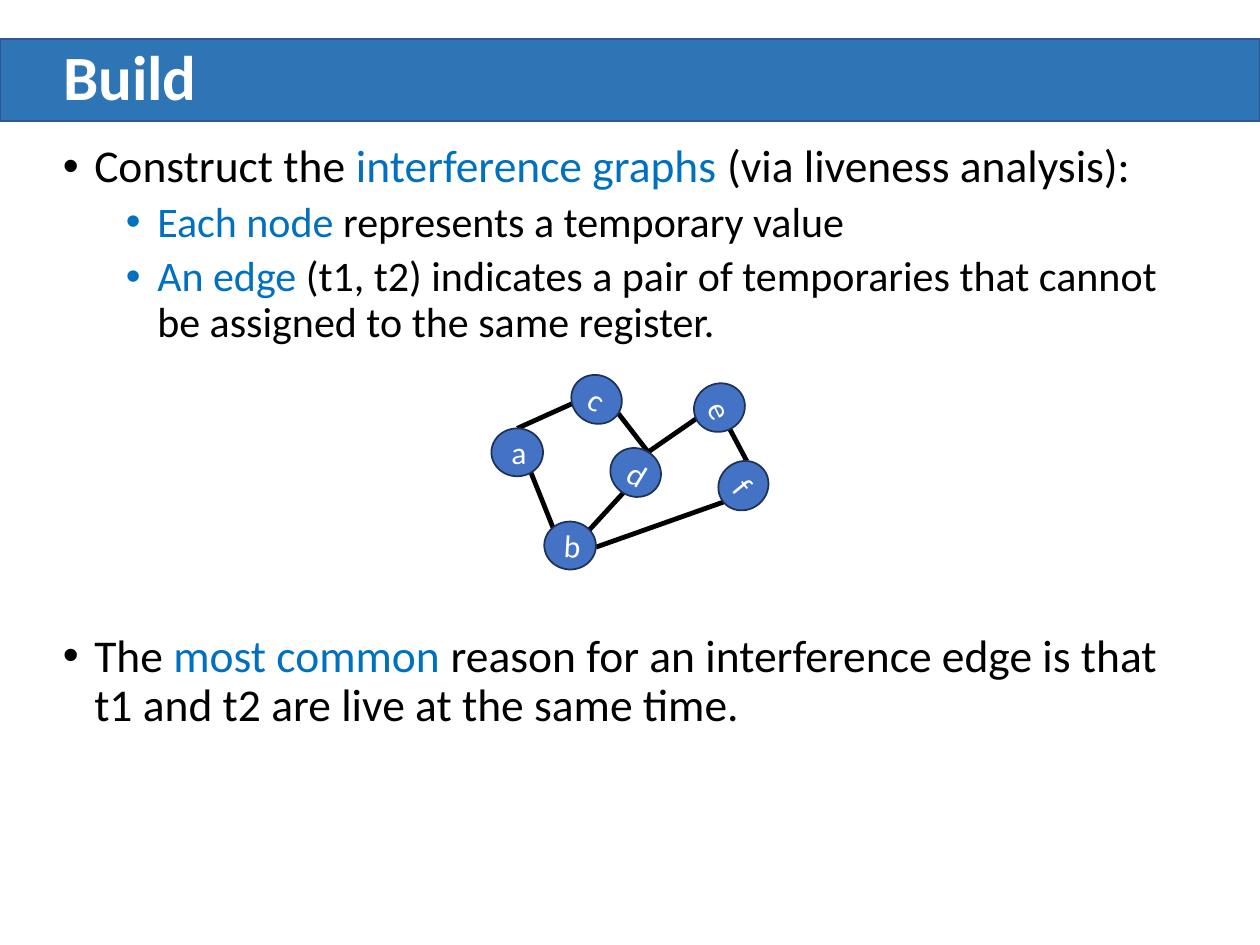
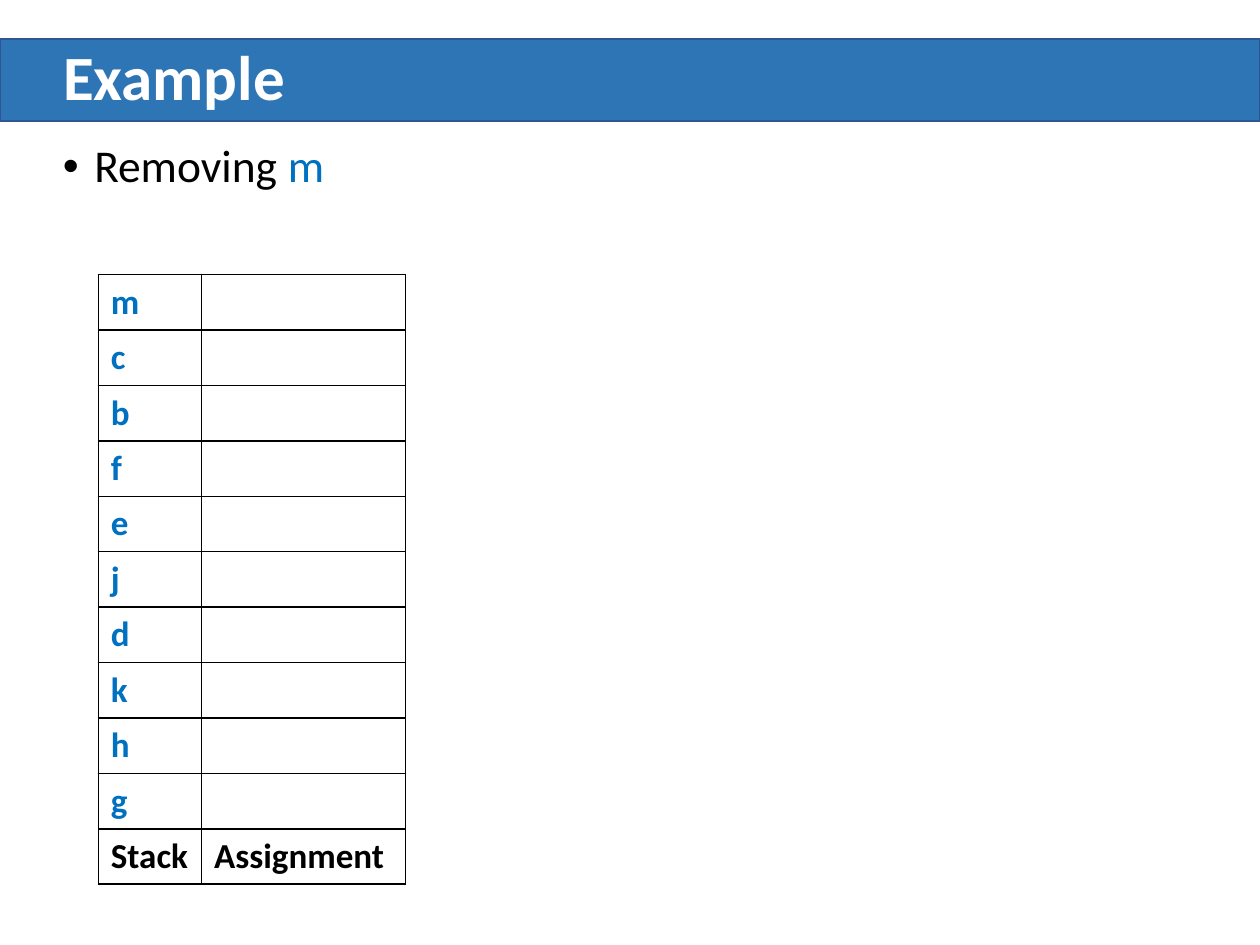
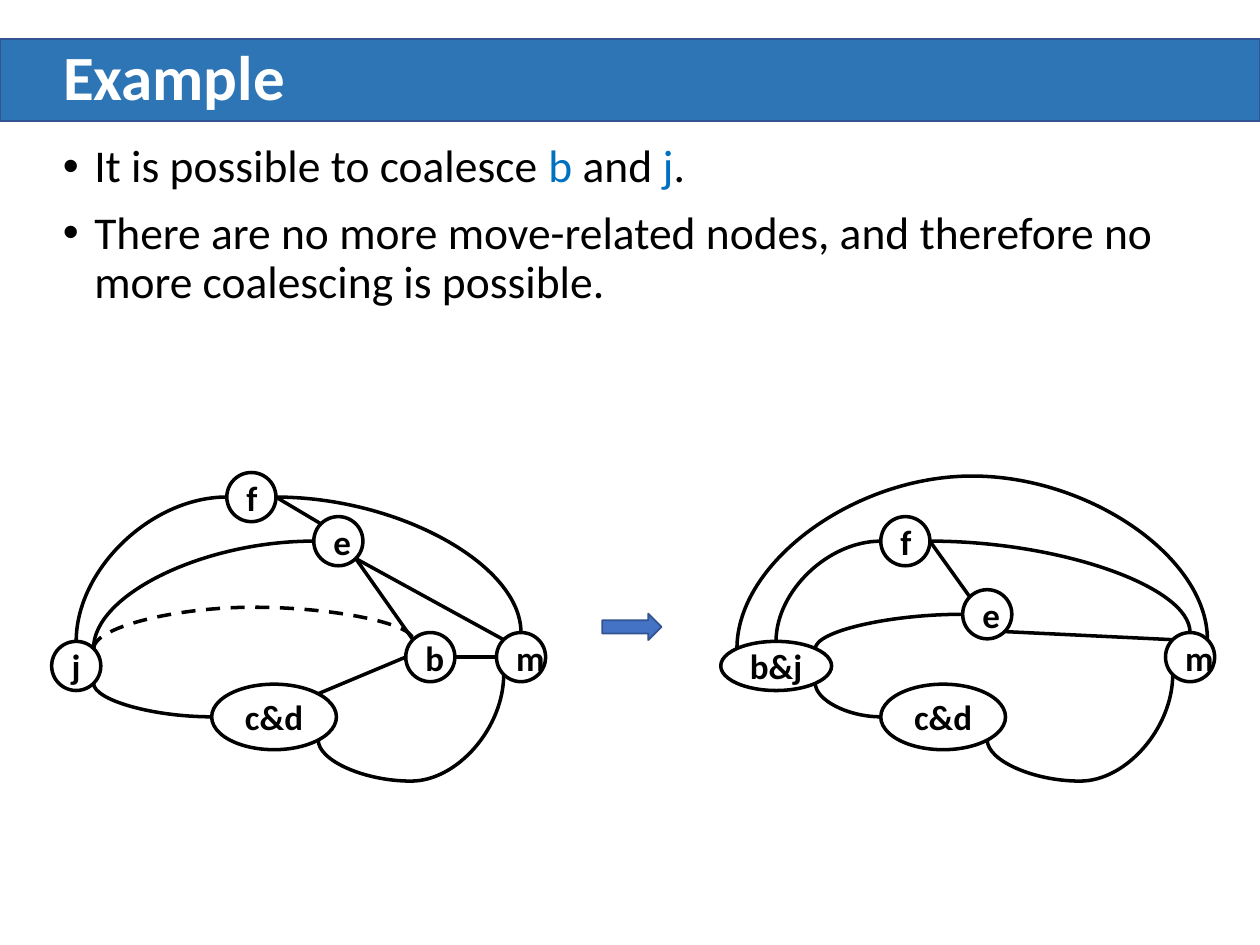
from math import cos, radians, sin

from lxml.etree import SubElement
from pptx import Presentation
from pptx.dml.color import RGBColor
from pptx.enum.dml import MSO_LINE
from pptx.enum.shapes import MSO_CONNECTOR as CONN, MSO_SHAPE as SHAPE
from pptx.enum.text import MSO_ANCHOR, MSO_AUTO_SIZE, PP_ALIGN
from pptx.oxml.ns import qn
from pptx.util import Inches, Pt

FONT = "Calibri"
BLACK, WHITE, ACCENT = "000000", "FFFFFF", "0070C0"
BAND, NODE_BLUE, BLUE_LINE, NODE_LINE = "2E75B6", "4472C4", "325491", "1E3256"

# Bullets: (level, space before in points, text with *accented* parts)
BUILD = [
    (0, 0, "Construct the *interference graphs *(via liveness analysis):"),
    (1, 5, "*Each node* represents a temporary value"),
    (1, 5, "*An edge* (t1, t2) indicates a pair of temporaries that cannot "
           "be assigned to the same register."),
    (0, 164, "The *most common *reason for an interference edge is that "
             "t1 and t2 are live at the same time."),
]
REMOVING = [(0, 0, "Removing *m*")]
COALESCE = [
    (0, 0, "It is possible to coalesce *b *and *j*."),
    (0, 10, "There are no more move-related nodes, and therefore no more "
            "coalescing is possible."),
]
LEVELS = [(0.25, 26), (0.75, 24)]  # left margin, text size

STACK = "mcbfejdkhg"
STACK_HEADS = ("Stack", "Assignment")

# Nodes: name -> left, top, width, height, rotation
# Edge ends: (node, site), sites run counter-clockwise from 0 at the top
INTERFERENCE = {
    "nodes": {
        "b": (4.32, 4.14, 0.41, 0.38, 3.6),
        "a": (3.9, 3.4, 0.41, 0.38, 0),
        "d": (4.84, 3.56, 0.41, 0.38, 31.3),
        "f": (5.71, 3.65, 0.38, 0.41, 50.7),
        "c": (4.53, 2.98, 0.41, 0.38, 32.9),
        "e": (5.52, 3.03, 0.38, 0.41, 64.3),
    },
    "lines": [
        (("b", 1), (4.17, 3.64)), (("d", 4), ("b", 7)),
        (("f", 4), ("b", 6)), (("a", 0), ("c", 3)), (("d", 0), ("c", 6)),
        (("f", 1), ("e", 6)), (("d", 0), ("e", 4)),
    ],
}
D = 0.39  # node diameter
BEFORE = {
    "nodes": {
        "m": (3.94, 5.02, D, D, 0), "f": (1.8, 3.75, D, D, 0),
        "e": (2.49, 4.1, D, D, 0), "b": (3.22, 5.02, D, D, 0),
        "c&d": (1.68, 5.43, 0.99, 0.52, 0), "j": (0.41, 5.09, D, D, 0),
    },
    "lines": [
        (("c&d", 7), ("b", 2)), (("e", 5), ("b", 1)), (("f", 6), ("e", 1)),
        (("e", 5), ("m", 1)), (("b", 6), ("m", 2)),
    ],
    "quarters": [
        (("f", 2), ("j", 0)), (("f", 6), ("m", 0)),
        (("e", 2), ("j", 7)), (("c&d", 2), ("j", 5)),
    ],
    "bows": [(("c&d", 5), ("m", 3), 6.2, False), (("j", 7), ("b", 1), 4.82, True)],
}
AFTER = {
    "nodes": {
        "m": (9.25, 5.02, D, D, 0), "f": (6.99, 4.1, D, D, 0),
        "e": (7.64, 4.68, D, D, 0), "c&d": (6.99, 5.43, 0.99, 0.52, 0),
        "b&j": (5.72, 5.09, 0.88, D, 0),
    },
    "lines": [(("f", 6), ("e", 1)), (("e", 5), ("m", 1))],
    "quarters": [
        (("f", 2), ("b&j", 0)), (("f", 6), ("m", 0)),
        (("e", 2), ("b&j", 7)), (("c&d", 2), ("b&j", 5)),
    ],
    "bows": [(("c&d", 5), ("m", 3), 6.2, False), (("b&j", 1), ("m", 7), 3.78, False)],
}


def rgb(color):
    return RGBColor.from_string(color)


def add_text(p, text, size=20, color=BLACK, bold=False, align=None):
    r = p.add_run()
    r.text = text
    f = r.font
    f.name, f.size, f.bold = FONT, Pt(size), bold
    f.color.rgb = rgb(color)
    if align is not None:
        p.alignment = align


def add_shape(slide, kind, box, fill, line, width=1):
    s = slide.shapes.add_shape(kind, *map(Inches, box))
    s.shadow.inherit = False
    s.fill.solid()
    s.fill.fore_color.rgb = rgb(fill)
    s.line.color.rgb = rgb(line)
    s.line.width = Pt(width)
    return s


def add_bullets(slide, bullets):
    tf = slide.shapes.add_textbox(*map(Inches, (0.4, 1.09, 9.24, 5.66))).text_frame
    tf.word_wrap = True
    for i, (level, before, text) in enumerate(bullets):
        p = tf.paragraphs[0] if i == 0 else tf.add_paragraph()
        margin, size = LEVELS[level]
        p.level = level
        pPr = p._p.get_or_add_pPr()
        pPr.set("marL", str(Inches(margin)))
        pPr.set("indent", str(Inches(-0.25)))
        SubElement(pPr, qn("a:buFont"), typeface="Arial")
        SubElement(pPr, qn("a:buChar"), char="•")
        p.line_spacing = 0.9
        p.space_before = Pt(before)
        for k, part in enumerate(text.split("*")):
            if part:
                add_text(p, part, size=size, color=ACCENT if k % 2 else BLACK)


def add_slide(prs, title, bullets):
    slide = prs.slides.add_slide(prs.slide_layouts[5])
    # Title band, behind the title
    band = add_shape(slide, SHAPE.RECTANGLE, (0, 0.31, 10, 0.65), BAND, BLUE_LINE)
    slide.shapes._spTree.insert(2, band._element)
    t = slide.shapes.title
    t.left, t.top, t.width, t.height = map(Inches, (0.4, 0.31, 9.24, 0.65))
    tf = t.text_frame
    tf.auto_size = MSO_AUTO_SIZE.NONE
    tf.vertical_anchor = MSO_ANCHOR.MIDDLE
    p = tf.paragraphs[0]
    p.line_spacing = 0.9
    add_text(p, title, size=36, color=WHITE, bold=True, align=PP_ALIGN.LEFT)
    add_bullets(slide, bullets)
    return slide


def site(nodes, end):
    """Point on a node's outline, or the plain point that was given."""
    if end[0] not in nodes:
        return end
    x, y, w, h, turn = nodes[end[0]]
    a, t = radians(90 + 45 * end[1]), radians(turn)
    dx, dy = w / 2 * cos(a), -h / 2 * sin(a)
    return (x + w / 2 + dx * cos(t) - dy * sin(t),
            y + h / 2 + dx * sin(t) + dy * cos(t))


def add_line(slide, start, end, width, kind=CONN.STRAIGHT):
    c = slide.shapes.add_connector(kind, *map(Inches, (*start, *end)))
    c.line.color.rgb = rgb(BLACK)
    c.line.width = Pt(width)
    SubElement(c._element.spPr, qn("a:effectLst"))
    return c


def add_quarter(slide, start, end, width):
    """Curve that leaves sideways and arrives upright."""
    c = add_line(slide, start, end, width, CONN.CURVE)
    c._element.spPr.find(qn("a:prstGeom")).set("prst", "curvedConnector2")


def add_bow(slide, start, end, peak, width, dashed):
    """Curve from lower left to upper right that bends at height peak."""
    (x1, y1), (x2, y2) = start, end
    cx, cy = (x1 + x2) / 2, (y1 + y2) / 2
    w, h = y1 - y2, x2 - x1  # size before the quarter turn
    c = add_line(slide, (cx + w / 2, cy + h / 2), (cx - w / 2, cy - h / 2),
                 width, CONN.CURVE)
    spPr = c._element.spPr
    spPr.find(qn("a:xfrm")).set("rot", str(90 * 60000))
    geom = spPr.find(qn("a:prstGeom"))
    guides = geom.find(qn("a:avLst"))
    if guides is None:
        guides = SubElement(geom, qn("a:avLst"))
    SubElement(guides, qn("a:gd"), name="adj1",
               fmla=f"val {round((y1 - peak) / w * 100000)}")
    if dashed:
        c.line.dash_style = MSO_LINE.DASH


def add_graph(slide, graph, fill=WHITE, line=BLACK, node_width=2, edge_width=2,
              **text_format):
    nodes = graph["nodes"]
    # Edges
    for a, b in graph["lines"]:
        add_line(slide, site(nodes, a), site(nodes, b), edge_width)
    for a, b in graph.get("quarters", []):
        add_quarter(slide, site(nodes, a), site(nodes, b), edge_width)
    for a, b, peak, dashed in graph.get("bows", []):
        add_bow(slide, site(nodes, a), site(nodes, b), peak, edge_width, dashed)
    # Nodes
    for name, (*box, turn) in nodes.items():
        s = add_shape(slide, SHAPE.OVAL, box, fill, line, node_width)
        s.rotation = turn
        add_text(s.text_frame.paragraphs[0], name, align=PP_ALIGN.CENTER, **text_format)


def add_stack(slide):
    rows = [(name, "") for name in STACK] + [STACK_HEADS]
    row_height, widths = 0.44, (0.82, 1.62)
    table = slide.shapes.add_table(
        len(rows), 2, *map(Inches, (0.78, 2.18, sum(widths), row_height * len(rows)))).table
    table.first_row = table.horz_banding = False
    for col, width in zip(table.columns, widths):
        col.width = Inches(width)
    for i, row in enumerate(rows):
        table.rows[i].height = Inches(row_height)
        for j, text in enumerate(row):
            cell = table.cell(i, j)
            tcPr = cell._tc.get_or_add_tcPr()
            for side in ("lnL", "lnR", "lnT", "lnB"):
                ln = SubElement(tcPr, qn(f"a:{side}"), w=str(Pt(1)))
                SubElement(SubElement(ln, qn("a:solidFill")), qn("a:srgbClr"), val=BLACK)
            cell.fill.background()
            if text:
                add_text(cell.text_frame.paragraphs[0], text, bold=True,
                         color=BLACK if row == STACK_HEADS else ACCENT)


def main():
    prs = Presentation()
    prs.slide_width, prs.slide_height = Inches(10), Inches(7.5)

    # Interference graph
    slide = add_slide(prs, "Build", BUILD)
    add_graph(slide, INTERFERENCE, fill=NODE_BLUE, line=NODE_LINE, node_width=1,
              edge_width=2.75, size=18, color=WHITE)

    # Stack of removed nodes
    add_stack(add_slide(prs, "Example", REMOVING))

    # Coalescing b and j
    slide = add_slide(prs, "Example", COALESCE)
    add_graph(slide, BEFORE, bold=True)
    add_shape(slide, SHAPE.RIGHT_ARROW, (4.78, 4.87, 0.47, 0.21), NODE_BLUE, BLUE_LINE)
    add_graph(slide, AFTER, bold=True)

    prs.save("out.pptx")


if __name__ == "__main__":
    main()
